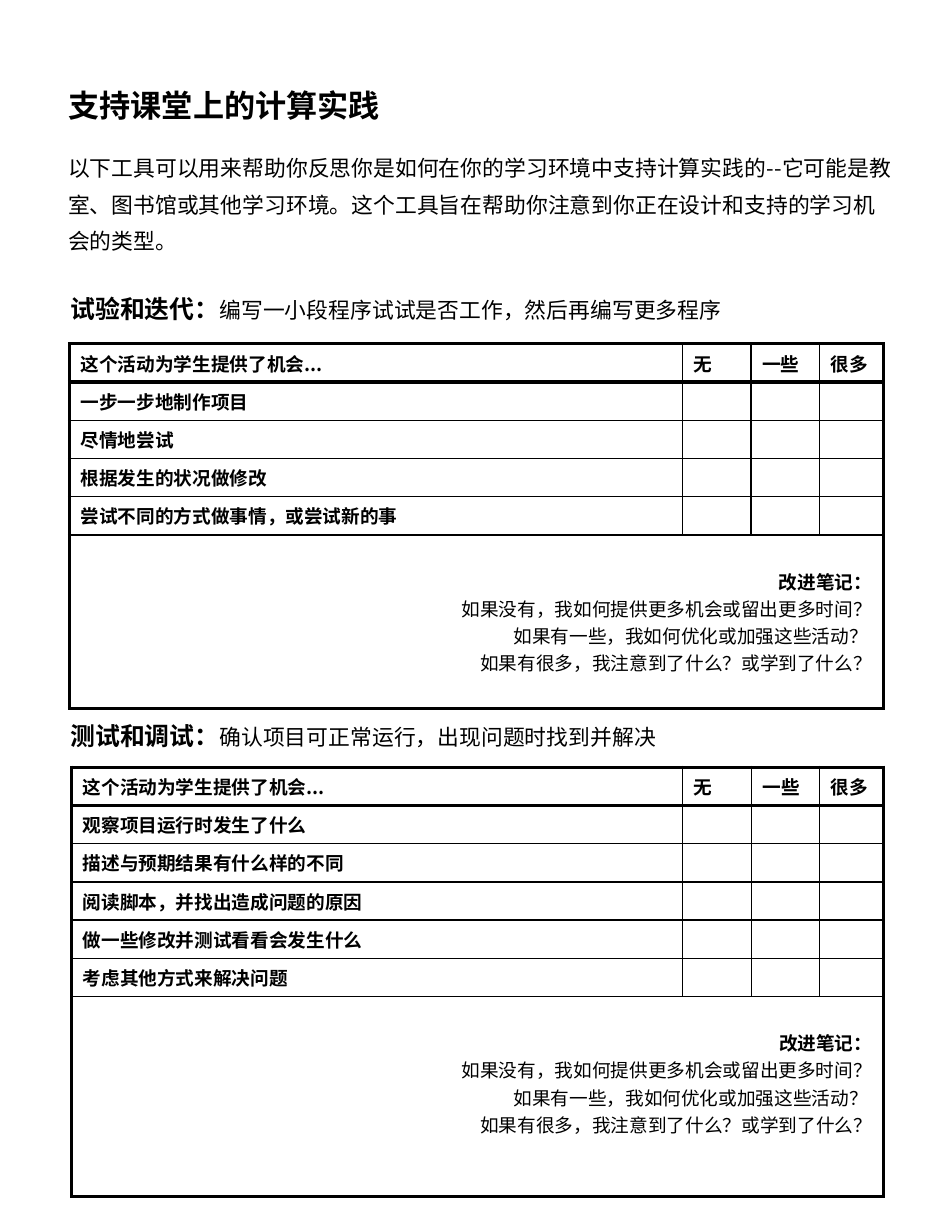
from pptx import Presentation, util as u
from pptx.dml.color import RGBColor
from pptx.enum import text
from pptx.oxml import parse_xml
from pptx.oxml.ns import nsdecls

Pt = u.Pt
BLACK = RGBColor(0, 0, 0)
FACE = "Noto Sans CJK SC"
THIN, THICK = 1, 2.25
ROW = 24.6
HEAD = ["这个活动为学生提供了机会...", "无", "一些", "很多"]
NOTES = [
    "改进笔记：",
    "如果没有，我如何提供更多机会或留出更多时间？",
    "如果有一些，我如何优化或加强这些活动？ ",
    "如果有很多，我注意到了什么？或学到了什么？",
]
TRIAL = ["一步一步地制作项目", "尽情地尝试", "根据发生的状况做修改", "尝试不同的方式做事情，或尝试新的事"]
TEST = [
    "观察项目运行时发生了什么",
    "描述与预期结果有什么样的不同",
    "阅读脚本，并找出造成问题的原因",
    "做一些修改并测试看看会发生什么",
    "考虑其他方式来解决问题",
]


def style(font, size, bold=False):
    font.size, font.bold, font.name = Pt(size), bold, FACE
    font.color.rgb = BLACK
    font._rPr.append(parse_xml(f'<a:ea {nsdecls("a")} typeface="{FACE}"/>'))


def add_box(slide, x, y, w, h, pad=(0, 0)):
    frame = slide.shapes.add_textbox(Pt(x), Pt(y), Pt(w), Pt(h)).text_frame
    frame.word_wrap = True
    frame.margin_left = frame.margin_right = Pt(pad[0])
    frame.margin_top = frame.margin_bottom = Pt(pad[1])
    return frame.paragraphs[0]


def add_text(slide, words, area, size, bold=False, pad=(0, 0), space=None):
    para = add_box(slide, *area, pad)
    para.text = words
    para.line_spacing = space
    style(para.font, size, bold)


def add_head(slide, y, h, name, about):
    para = add_box(slide, 45.4, y, 540, h)
    for words, size, bold in ((name, 16, True), (about, 14, False)):
        run = para.add_run()
        run.text = words
        style(run.font, size, bold)


def set_edges(cell, row, col, last):
    ends = {
        "L": col == 0,
        "R": cell.is_merge_origin or col == len(HEAD) - 1,
        "T": row < 2,
        "B": row in (0, last),
    }
    props = cell._tc.get_or_add_tcPr()
    for spot, (side, bold) in enumerate(ends.items()):
        width = Pt(THICK if bold else THIN)
        props.insert(spot, parse_xml(
            f'<a:ln{side} {nsdecls("a")} w="{width}"><a:solidFill>'
            f'<a:srgbClr val="{BLACK}"/></a:solidFill></a:ln{side}>'))


def fill_cell(cell, words):
    cell.text = words
    para = cell.text_frame.paragraphs[0]
    style(para.font, 12, True)
    if not words:
        para._p.get_or_add_endParaRPr().set("sz", "1200")


def fill_notes(cell):
    cell.margin_top = Pt(21)
    cell.text = "\n".join(NOTES)
    for num, para in enumerate(cell.text_frame.paragraphs):
        para.alignment = text.PP_ALIGN.RIGHT
        style(para.font, 12, num == 0)


def add_grid(slide, x, y, cols, items, foot):
    lines = [HEAD] + [[item, "", "", ""] for item in items]
    last = len(lines)
    high = ROW * last + foot
    table = slide.shapes.add_table(
        last + 1, len(cols), Pt(x), Pt(y), Pt(sum(cols)), Pt(high)).table
    table.first_row = table.horz_banding = False
    for col, width in zip(table.columns, cols):
        col.width = Pt(width)
    for num, row in enumerate(table.rows):
        row.height = Pt(foot if num == last else ROW)
    table.cell(last, 0).merge(table.cell(last, len(cols) - 1))
    for num, row in enumerate(table.rows):
        for col, cell in enumerate(row.cells):
            if cell.is_spanned:
                continue
            cell.fill.background()
            if num == last:
                fill_notes(cell)
            else:
                fill_cell(cell, lines[num][col])
            set_edges(cell, num, col, last)


def main():
    deck = Presentation()
    deck.slide_width, deck.slide_height = Pt(612), Pt(792)
    slide = deck.slides.add_slide(deck.slide_layouts[6])
    add_head(slide, 188.6, 42.5, "试验和迭代：", "编写一小段程序试试是否工作，然后再编写更多程序")
    add_grid(slide, 44.6, 221, [394, 44.2, 44.2, 41], TRIAL, 111.8)
    add_head(slide, 463, 19.4, "测试和调试：", "确认项目可正常运行，出现问题时找到并解决")
    add_grid(slide, 46, 493.2, [392.6, 44.4, 44, 41], TEST, 128.6)
    add_text(
        slide,
        "以下工具可以用来帮助你反思你是如何在你的学习环境中支持计算实践的--它可能是教室、"
        "图书馆或其他学习环境。这个工具旨在帮助你注意到你正在设计和支持的学习机会的类型。",
        (36.7, 89.3, 545, 77.8), 14, pad=(7.2, 3.6), space=1.4)
    add_text(slide, "支持课堂上的计算实践", (44, 55.4, 524, 19.4), 20, True)
    deck.save("out.pptx")


if __name__ == "__main__":
    main()
